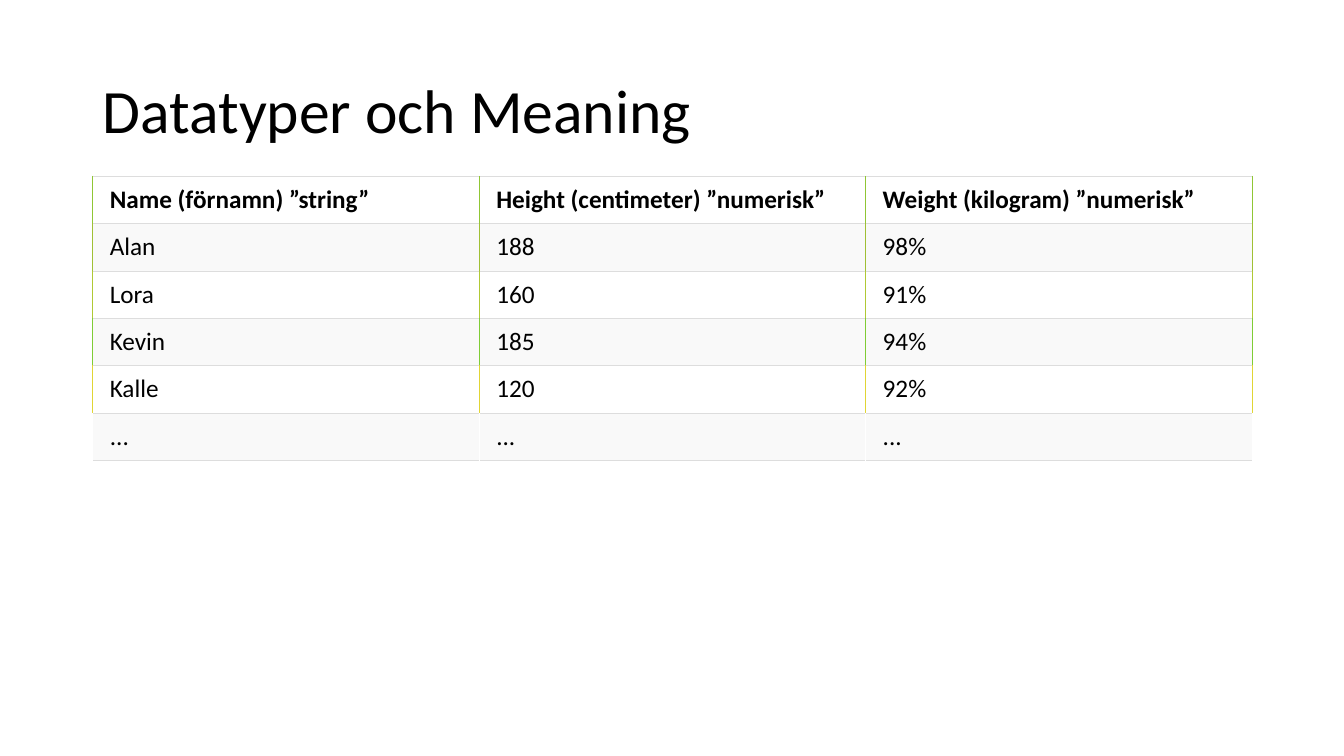
from dataclasses import dataclass

from lxml.etree import SubElement
from pptx import Presentation
from pptx.dml.color import RGBColor
from pptx.enum.text import MSO_ANCHOR, MSO_AUTO_SIZE, PP_ALIGN
from pptx.oxml.ns import qn
from pptx.util import Inches, Pt

SLIDE_WIDTH, SLIDE_HEIGHT = Inches(13.33), Inches(7.5)
LEFT, WIDTH = int(SLIDE_WIDTH / 14.5), Inches(11.5)
TITLE_TOP, TITLE_HEIGHT = Inches(0.4), Inches(1.45)
TABLE_TOP, ROW_HEIGHT = Inches(1.75), Inches(0.47)
CELL_INSET_X, CELL_INSET_Y = Inches(0.17), Inches(0.08)

FONT = "Calibri"
BLACK = RGBColor(0x00, 0x00, 0x00)
WHITE = RGBColor(0xFF, 0xFF, 0xFF)
BAND_GRAY = RGBColor(0xF9, 0xF9, 0xF9)
RULE_GRAY = RGBColor(0xDD, 0xDD, 0xDD)
GREEN = RGBColor(0x90, 0xC6, 0x35)
OLIVE = RGBColor(0xA0, 0xC0, 0x35)
LIME = RGBColor(0xB0, 0xC9, 0x35)
BRIGHT_GREEN = RGBColor(0x80, 0xCC, 0x35)
YELLOW = RGBColor(0xE0, 0xD5, 0x35)


@dataclass(frozen=True)
class TableRow:
    texts: tuple[str, str, str]
    side_color: RGBColor
    side_width: float = 1


ROWS = (
    TableRow(("Name (förnamn) ”string”", "Height (centimeter) ”numerisk”",
              "Weight (kilogram) ”numerisk”"), GREEN),
    TableRow(("Alan", "188", "98%"), OLIVE),
    TableRow(("Lora", "160", "91%"), LIME),
    TableRow(("Kevin", "185", "94%"), BRIGHT_GREEN),
    TableRow(("Kalle", "120", "92%"), YELLOW),
    TableRow(("...", "...", "..."), WHITE, 0.75),
)


def add_border(cell, side: str, color: RGBColor, width: float) -> None:
    """Add one cell border; side is L, R, T or B, in that order."""
    properties = cell._tc.get_or_add_tcPr()
    line = SubElement(properties, qn(f"a:ln{side}"), w=str(Pt(width)))
    fill = SubElement(line, qn("a:solidFill"))
    SubElement(fill, qn("a:srgbClr"), val=str(color))


def format_cell(cell, text: str, row: TableRow, row_index: int) -> None:
    is_header = row_index == 0
    for side in "LR":
        add_border(cell, side, row.side_color, row.side_width)
    for side in "TB":
        add_border(cell, side, RULE_GRAY, 0.75)
    cell.fill.solid()
    cell.fill.fore_color.rgb = BAND_GRAY if row_index % 2 else WHITE
    cell.margin_left = cell.margin_right = CELL_INSET_X
    cell.margin_top = cell.margin_bottom = CELL_INSET_Y
    cell.vertical_anchor = MSO_ANCHOR.BOTTOM if is_header else MSO_ANCHOR.TOP
    cell.text = text
    format_font(cell.text_frame.paragraphs[0], 18, is_header)


def format_font(paragraph, size: float, bold: bool = False) -> None:
    font = paragraph.font
    font.name, font.size, font.bold = FONT, Pt(size), bold
    font.color.rgb = BLACK


def fill_title(title, text: str) -> None:
    title.left, title.top = LEFT, TITLE_TOP
    title.width, title.height = WIDTH, TITLE_HEIGHT
    frame = title.text_frame
    frame.text = text
    frame.auto_size = MSO_AUTO_SIZE.NONE
    frame.vertical_anchor = MSO_ANCHOR.MIDDLE
    paragraph = frame.paragraphs[0]
    paragraph.alignment = PP_ALIGN.LEFT
    paragraph.line_spacing = 0.9
    format_font(paragraph, 44)


def add_data_table(slide, rows: tuple[TableRow, ...]) -> None:
    table = slide.shapes.add_table(
        len(rows), len(rows[0].texts), LEFT, TABLE_TOP, WIDTH,
        ROW_HEIGHT * len(rows)).table
    table.horz_banding = False
    for row_index, row in enumerate(rows):
        for column_index, text in enumerate(row.texts):
            format_cell(table.cell(row_index, column_index), text, row, row_index)


def main() -> None:
    presentation = Presentation()
    presentation.slide_width = SLIDE_WIDTH
    presentation.slide_height = SLIDE_HEIGHT
    slide = presentation.slides.add_slide(presentation.slide_layouts[5])
    fill_title(slide.shapes.title, "Datatyper och Meaning")
    add_data_table(slide, ROWS)
    presentation.save("out.pptx")


if __name__ == "__main__":
    main()
